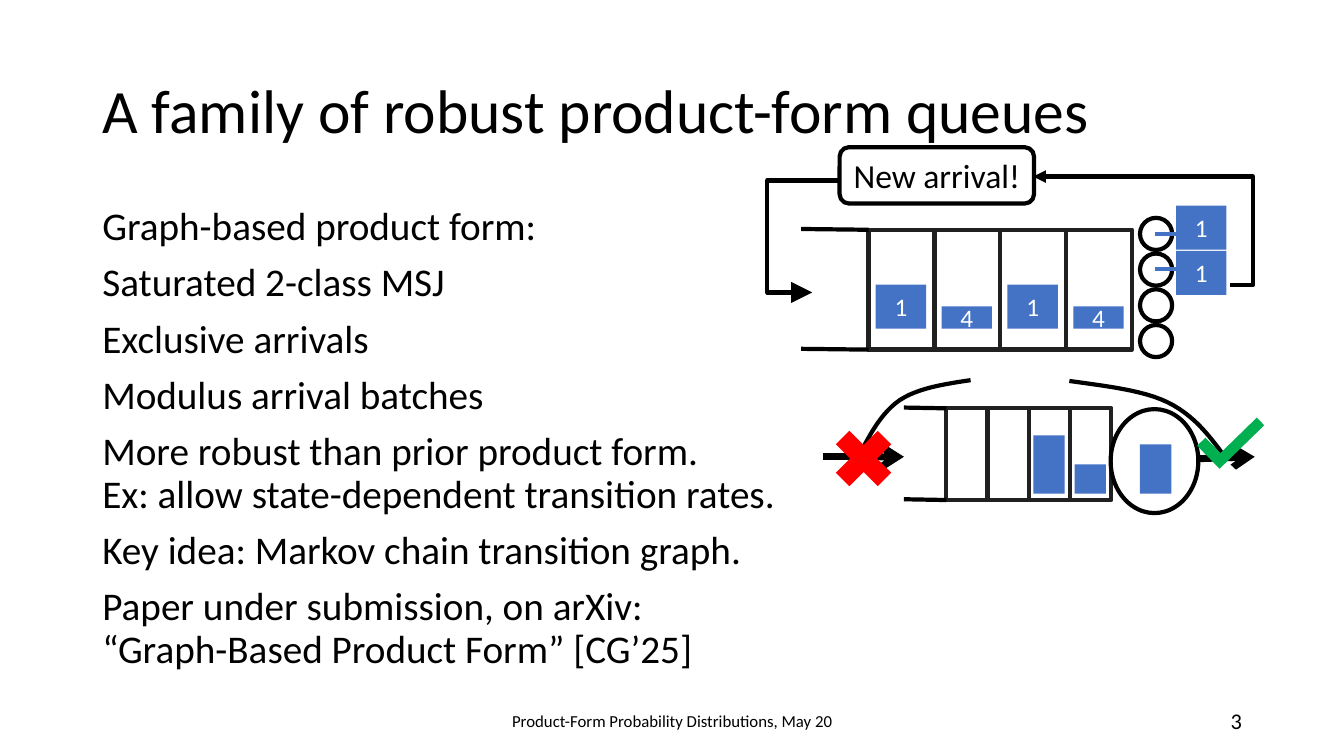
from pptx import Presentation
from pptx.dml.color import RGBColor
from pptx.enum.shapes import MSO_CONNECTOR, MSO_SHAPE
from pptx.enum.text import MSO_ANCHOR, PP_ALIGN
from pptx.oxml.ns import qn
from pptx.util import Cm, Pt
from lxml.etree import SubElement

COLORS = {"ink": "000000", "cell": "202020", "paper": "FFFFFF",
          "job": "4472C4", "bad": "FF0000", "good": "00B050"}

deck = Presentation()
deck.slide_width, deck.slide_height = Cm(33.87), Cm(19.05)
slide = deck.slides.add_slide(deck.slide_layouts[6])
shapes = slide.shapes


def add_box(kind, left, top, width, height, fill, line=None, text="", size=18, ink="paper"):
    box = shapes.add_shape(kind, Cm(left), Cm(top), Cm(width), Cm(height))
    box.shadow.inherit = False
    box.fill.solid()
    box.fill.fore_color.rgb = RGBColor.from_string(COLORS[fill])
    if line:
        box.line.color.rgb = RGBColor.from_string(COLORS[line])
        box.line.width = Pt(3)
    else:
        box.line.fill.background()
    if text:
        frame = box.text_frame
        frame.margin_left = frame.margin_right = frame.margin_top = frame.margin_bottom = 0
        frame.vertical_anchor = MSO_ANCHOR.MIDDLE
        frame.text = text
        frame.paragraphs[0].alignment = PP_ALIGN.CENTER
        font = frame.paragraphs[0].runs[0].font
        font.name, font.size = "Calibri", Pt(size)
        font.color.rgb = RGBColor.from_string(COLORS[ink])
    return box


def add_line(x1, y1, x2, y2, color="ink", width=3, head=None, size="med", bend=None):
    kind = MSO_CONNECTOR.STRAIGHT if bend is None else MSO_CONNECTOR.ELBOW
    wire = shapes.add_connector(kind, Cm(x1), Cm(y1), Cm(x2), Cm(y2))
    wire.line.color.rgb = RGBColor.from_string(COLORS[color])
    wire.line.width = Pt(width)
    props = wire._element.spPr
    if head:
        SubElement(props.find(qn("a:ln")), qn("a:tailEnd"), type=head, w=size, len=size)
    SubElement(props, qn("a:effectLst"))
    if bend is not None:
        guides = props.find(qn("a:prstGeom")).get_or_add_avLst()
        SubElement(guides, qn("a:gd"), name="adj1", fmla=f"val {bend}")


# Title, body, footer and page number
BODY = ["Graph-based product form:",
        "Saturated 2-class MSJ",
        "Exclusive arrivals",
        "Modulus arrival batches",
        "More robust than prior product form.\vEx: allow state-dependent transition rates.",
        "Key idea: Markov chain transition graph.",
        "Paper under submission, on arXiv:\v“Graph-Based Product Form” [CG’25]"]
MID, TOP = MSO_ANCHOR.MIDDLE, MSO_ANCHOR.TOP
TEXTS = [
    (2.33, 1.02, 29.21, 3.68, ["A family of robust product-form queues"], 44, PP_ALIGN.LEFT, MID, 0.9),
    (2.33, 5.08, 29.21, 12.09, BODY, 28, PP_ALIGN.LEFT, TOP, 0.9),
    (11.23, 17.65, 11.43, 1.02, ["Product-Form Probability Distributions, May 20"], 12,
     PP_ALIGN.CENTER, MID, 1.0),
    (23.93, 17.65, 7.62, 1.02, ["3"], 16, PP_ALIGN.RIGHT, MID, 1.0),
]
for left, top, width, height, lines, size, align, anchor, pitch in TEXTS:
    frame = shapes.add_textbox(Cm(left), Cm(top), Cm(width), Cm(height)).text_frame
    frame.word_wrap = True
    frame.vertical_anchor = anchor
    frame.text = "\n".join(lines)
    for i, par in enumerate(frame.paragraphs):
        par.alignment, par.line_spacing = align, pitch
        par.space_before = Pt(10 if i else 0)
        for run in par.runs:
            run.font.name, run.font.size = "Calibri", Pt(size)
            run.font.color.rgb = RGBColor.from_string(COLORS["ink"])

# Feedback loop through the arrival box
add_line(23.67, 4.55, 20.47, 7.37, head="triangle", size="lg", bend=135300)
add_box(MSO_SHAPE.ROUNDED_RECTANGLE, 21.16, 3.71, 4.9, 1.42, "paper", "ink",
        "New arrival!", 24, "ink")
add_line(31.01, 7.19, 26.04, 4.45, head="triangle", bend=-11400)

# Servers of the upper queue
for i in range(4):
    add_box(MSO_SHAPE.OVAL, 28.73, 5.49 + 0.9 * i, 0.81, 0.81, "paper", "ink")

# Cells and open end of both queues
for left, top, step, height, tail in [(21.89, 5.79, 1.66, 3.02, 20.19),
                                      (23.85, 10.29, 1.04, 2.31, 22.78)]:
    for i in range(4):
        add_box(MSO_SHAPE.RECTANGLE, left + step * i, top, step, height, "paper", "cell")
    for y in (top, top + height):
        add_line(tail, y - 0.02, left, y)

# Jobs waiting in the upper queue
for i, (name, height) in enumerate([("1", 1.11), ("4", 0.56)] * 2):
    add_box(MSO_SHAPE.RECTANGLE, 22.07 + 1.66 * i, 8.28 - height, 1.27, height, "job", text=name)

# Jobs in service
for y, top in [(5.89, 5.18), (6.78, 6.32)]:
    add_line(29.11, y, 30.07, y, "job")
    add_box(MSO_SHAPE.RECTANGLE, 29.64, top, 1.27, 1.11, "job", text="1")

# Lower queue: arrows, server and jobs
add_line(20.75, 11.51, 22.78, 11.51, width=5, head="arrow")
add_box(MSO_SHAPE.OVAL, 27.99, 10.31, 2.21, 2.62, "paper", "ink")
for left, height in [(26.04, 1.47), (27.08, 0.74), (28.73, 1.24)]:
    add_box(MSO_SHAPE.RECTANGLE, left, 12.44 - height, 0.79, height, "job")
add_line(30.15, 11.56, 31.62, 11.51, width=5, head="arrow")

# Curves to the marks, each a chain of two cubic arcs
CURVES = [
    [(21.69, 11.4), (21.95, 10.9), (22.23, 10.39), (22.68, 10.08),
     (23.14, 9.78), (23.8, 9.68), (24.46, 9.58)],
    [(30.81, 11.43), (30.43, 10.92), (30.05, 10.44), (29.41, 10.13),
     (28.78, 9.83), (27.86, 9.73), (26.95, 9.6)],
]
STEPS = 12
for knots in CURVES:
    points = []
    for k in (0, 3):
        for n in range(1, STEPS + 1):
            t = n / STEPS
            parts = ((1 - t) ** 3, 3 * t * (1 - t) ** 2, 3 * t * t * (1 - t), t ** 3)
            points.append([Cm(sum(p * knot[axis] for p, knot in zip(parts, knots[k:k + 4])))
                           for axis in (0, 1)])
    trail = shapes.build_freeform(Cm(knots[0][0]), Cm(knots[0][1]))
    trail.add_line_segments(points, close=False)
    curve = trail.convert_to_shape()
    curve.shadow.inherit = False
    curve.fill.background()
    curve.line.color.rgb = RGBColor.from_string(COLORS["ink"])
    curve.line.width = Pt(3)

# Cross and check marks
add_box(MSO_SHAPE.MATH_MULTIPLY, 20.75, 10.54, 2.03, 2.03, "bad")
check = add_box(MSO_SHAPE.CORNER, 30.23, 10.57, 1.57, 0.81, "good")
check.adjustments[0], check.adjustments[1] = 0.33, 0.36
check.rotation = 315.7

deck.save("out.pptx")
